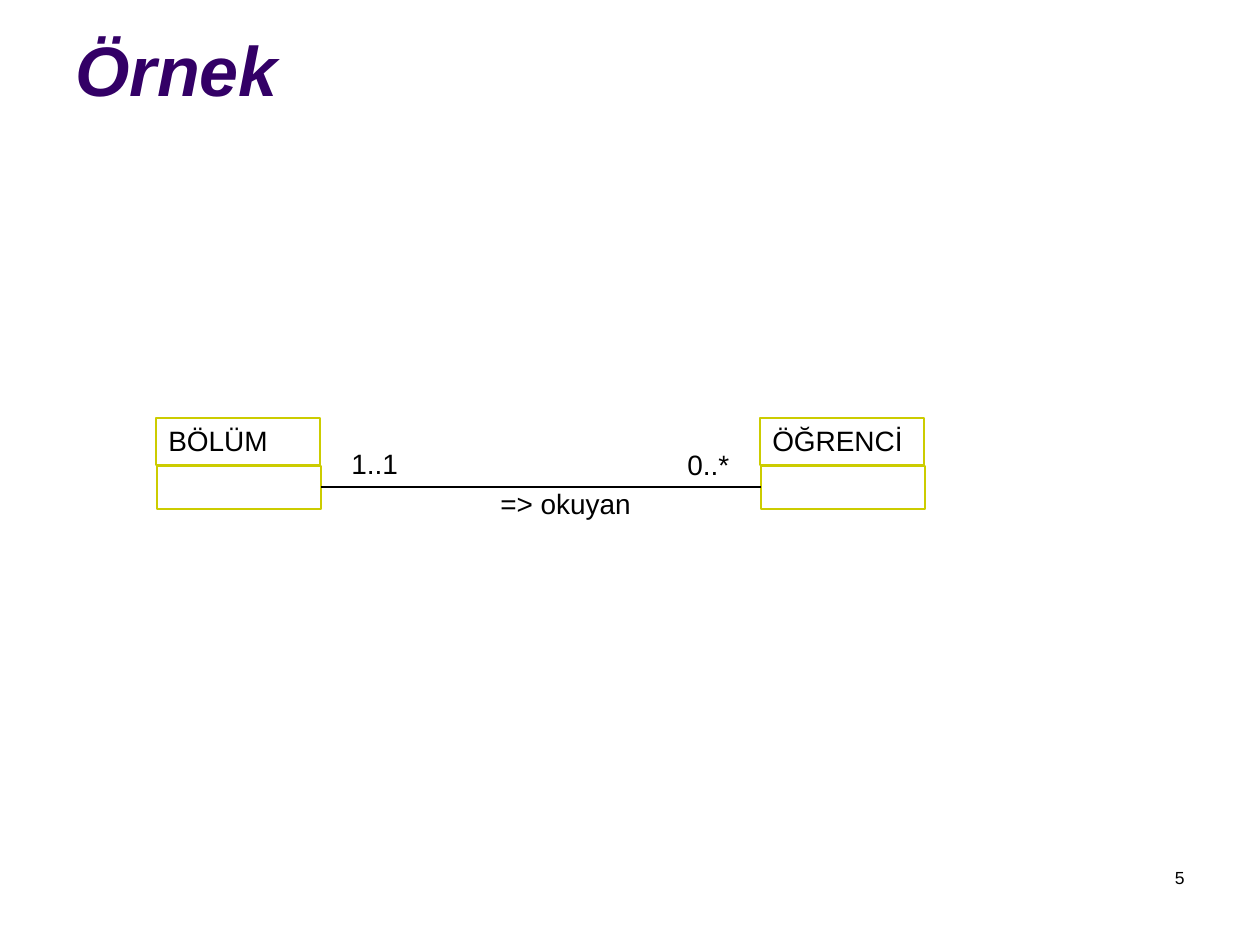
import pptx
import pptx.util
import pptx.dml.color
import pptx.enum.shapes
import pptx.enum.text
import pptx.oxml.ns
import lxml.etree

PURPLE = pptx.dml.color.RGBColor(0x33, 0x00, 0x66)
OLIVE = pptx.dml.color.RGBColor(0xCC, 0xCC, 0x00)
BLACK = pptx.dml.color.RGBColor(0x00, 0x00, 0x00)
FONT = "Arial"
ALIGN = pptx.enum.text.PP_ALIGN

# Content: boxes are left, top, width, height in px
TITLE = ("Örnek", (63, 16, 1040, 179))
PAGE_NUMBER = ("5", (903, 861, 294, 63))
ENTITIES = [("BÖLÜM", 156), ("ÖĞRENCİ", 760)]
LABELS = [
    ("1..1", (339, 441, 89, 47)),
    ("0..*", (675, 442, 74, 47)),
    ("=> okuyan", (488, 481, 166, 47)),
]

# Entity geometry
ENTITY_WIDTH = 164
NAME_TOP, NAME_HEIGHT = 418, 47
BODY_TOP, BODY_HEIGHT = 466, 43
BODY_SHIFT = 1
LINK_Y = 487

PX = 914400 // 126


def px(*lengths):
    return [pptx.util.Emu(length * PX) for length in lengths]


def write(holder, words, size, color=BLACK, align=ALIGN.LEFT, emphasis=False,
          top_inset=6):
    frame = holder.text_frame
    frame.word_wrap = True
    frame.vertical_anchor = pptx.enum.text.MSO_ANCHOR.TOP
    frame.margin_left = frame.margin_right = pptx.util.Inches(0.1)
    frame.margin_top, frame.margin_bottom = px(top_inset, 6)
    paragraph = frame.paragraphs[0]
    paragraph.alignment = align
    run = paragraph.add_run()
    run.text = words
    run.font.name = FONT
    run.font.size = pptx.util.Pt(size)
    run.font.bold = run.font.italic = emphasis
    run.font.color.rgb = color


def add_text(slide, words, box, size, **style):
    write(slide.shapes.add_textbox(*px(*box)), words, size, **style)


def add_frame(slide, box):
    frame = slide.shapes.add_shape(
        pptx.enum.shapes.MSO_SHAPE.RECTANGLE, *px(*box))
    frame.shadow.inherit = False
    frame.fill.background()
    frame.line.color.rgb = OLIVE
    frame.line.width = pptx.util.Pt(0.75)
    return frame


def add_link(slide, start, end):
    link = slide.shapes.add_connector(
        pptx.enum.shapes.MSO_CONNECTOR.STRAIGHT, *px(*start, *end))
    link.line.color.rgb = BLACK
    link.line.width = pptx.util.Pt(0.75)
    lxml.etree.SubElement(
        link._element.spPr, pptx.oxml.ns.qn("a:effectLst"))


def main():
    deck = pptx.Presentation()
    deck.slide_width, deck.slide_height = px(1260, 945)
    slide = deck.slides.add_slide(deck.slide_layouts[6])

    # Title and page number
    add_text(slide, *TITLE, 40, color=PURPLE, emphasis=True, top_inset=11)
    add_text(slide, *PAGE_NUMBER, 10, align=ALIGN.RIGHT)

    # Entities: a name box over an empty body
    for name, left in ENTITIES:
        heading = add_frame(slide, (left, NAME_TOP, ENTITY_WIDTH, NAME_HEIGHT))
        write(heading, name, 16)
        add_frame(slide, (left + BODY_SHIFT, BODY_TOP, ENTITY_WIDTH, BODY_HEIGHT))

    # Relationship between the two bodies
    (_, first_left), (_, second_left) = ENTITIES
    add_link(slide, (first_left + BODY_SHIFT + ENTITY_WIDTH, LINK_Y),
             (second_left + BODY_SHIFT, LINK_Y))
    for words, box in LABELS:
        add_text(slide, words, box, 16)

    deck.save("out.pptx")


if __name__ == "__main__":
    main()
